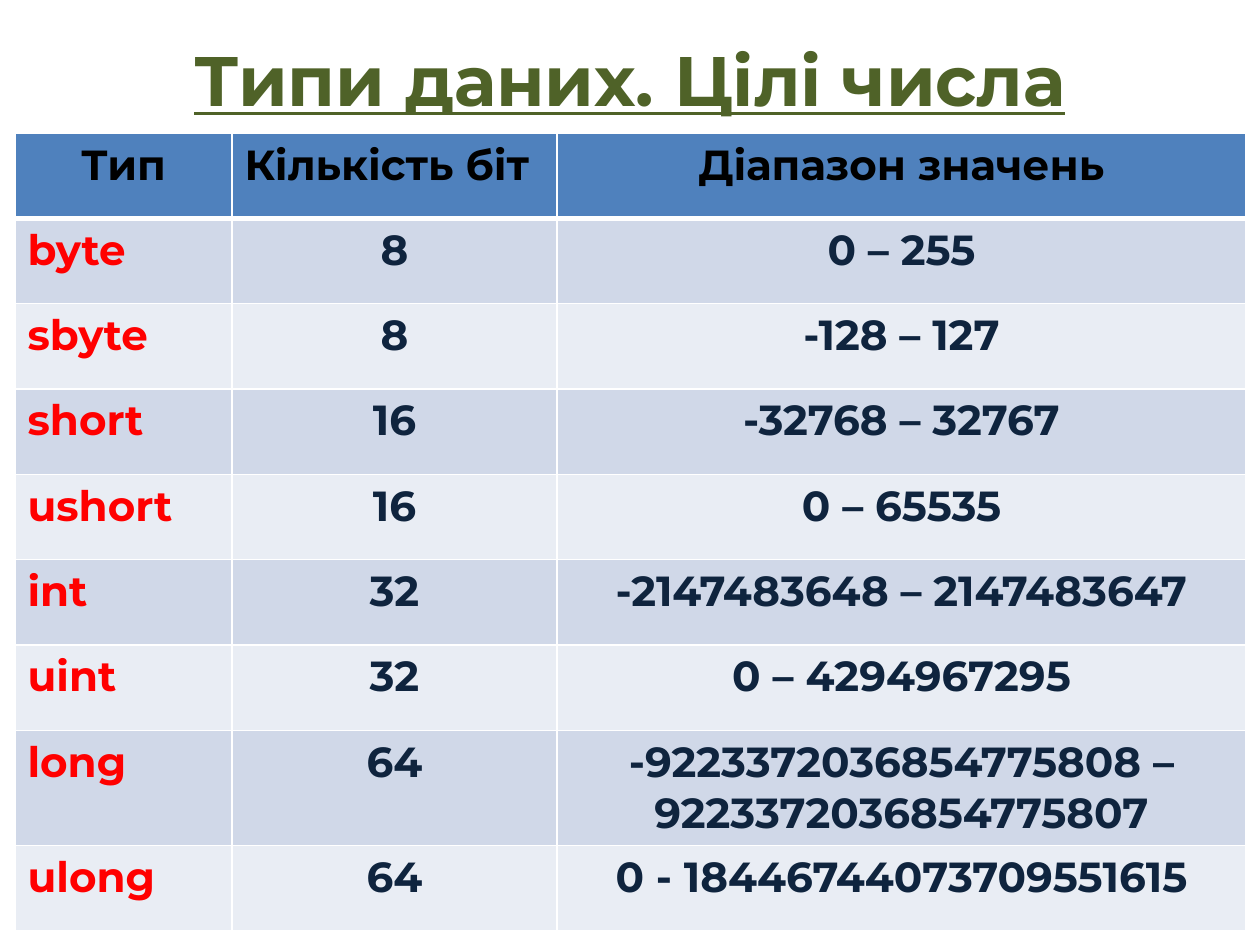
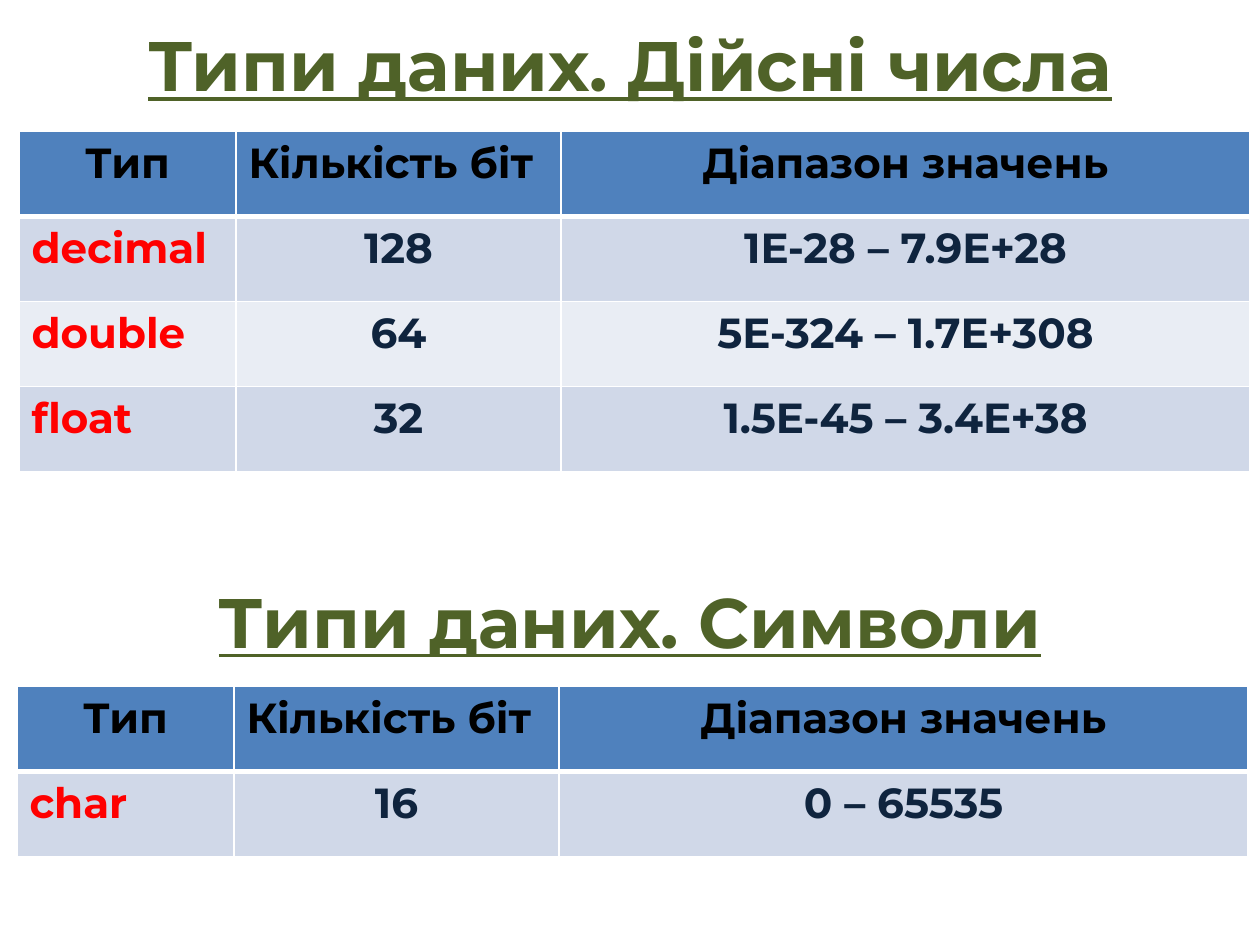
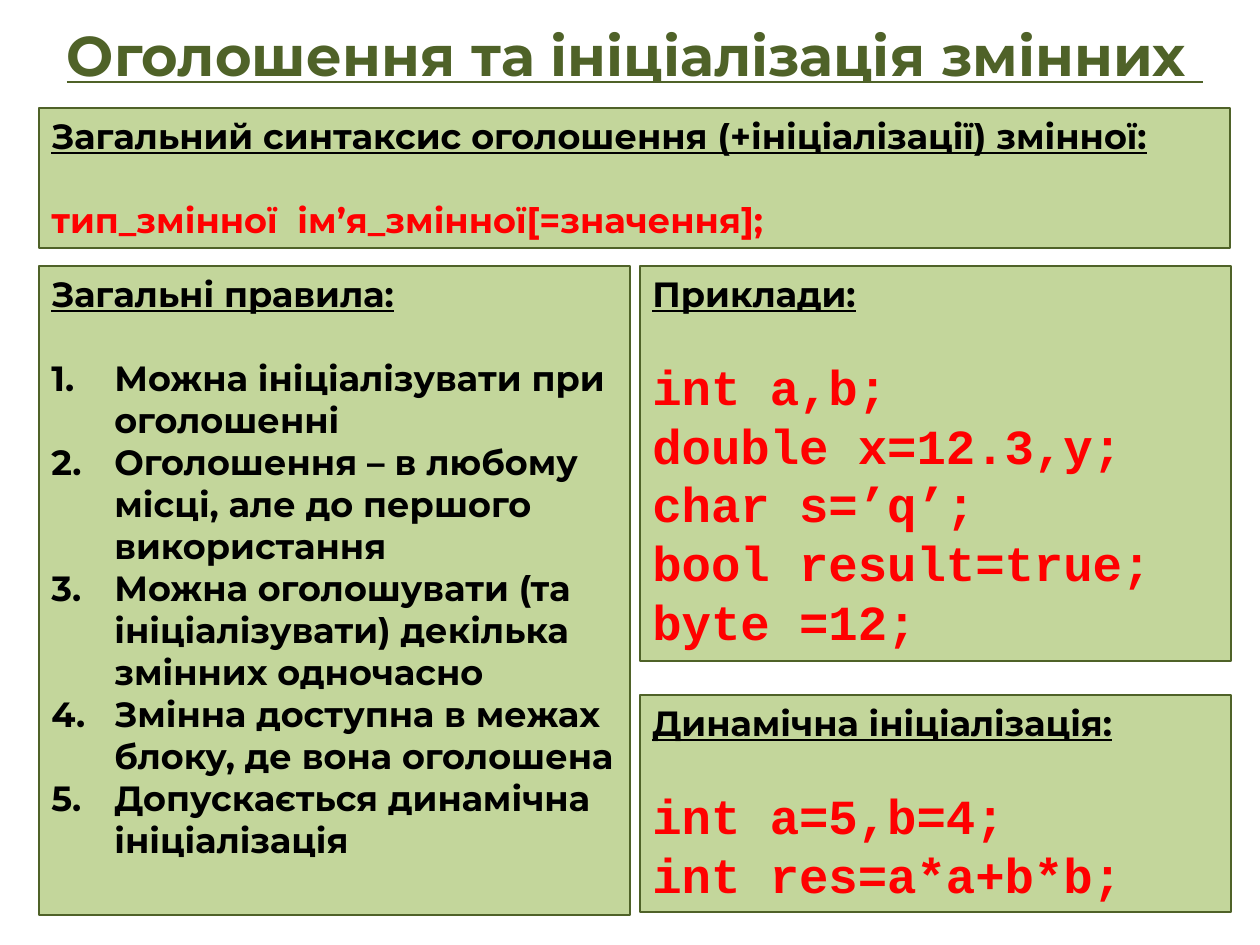
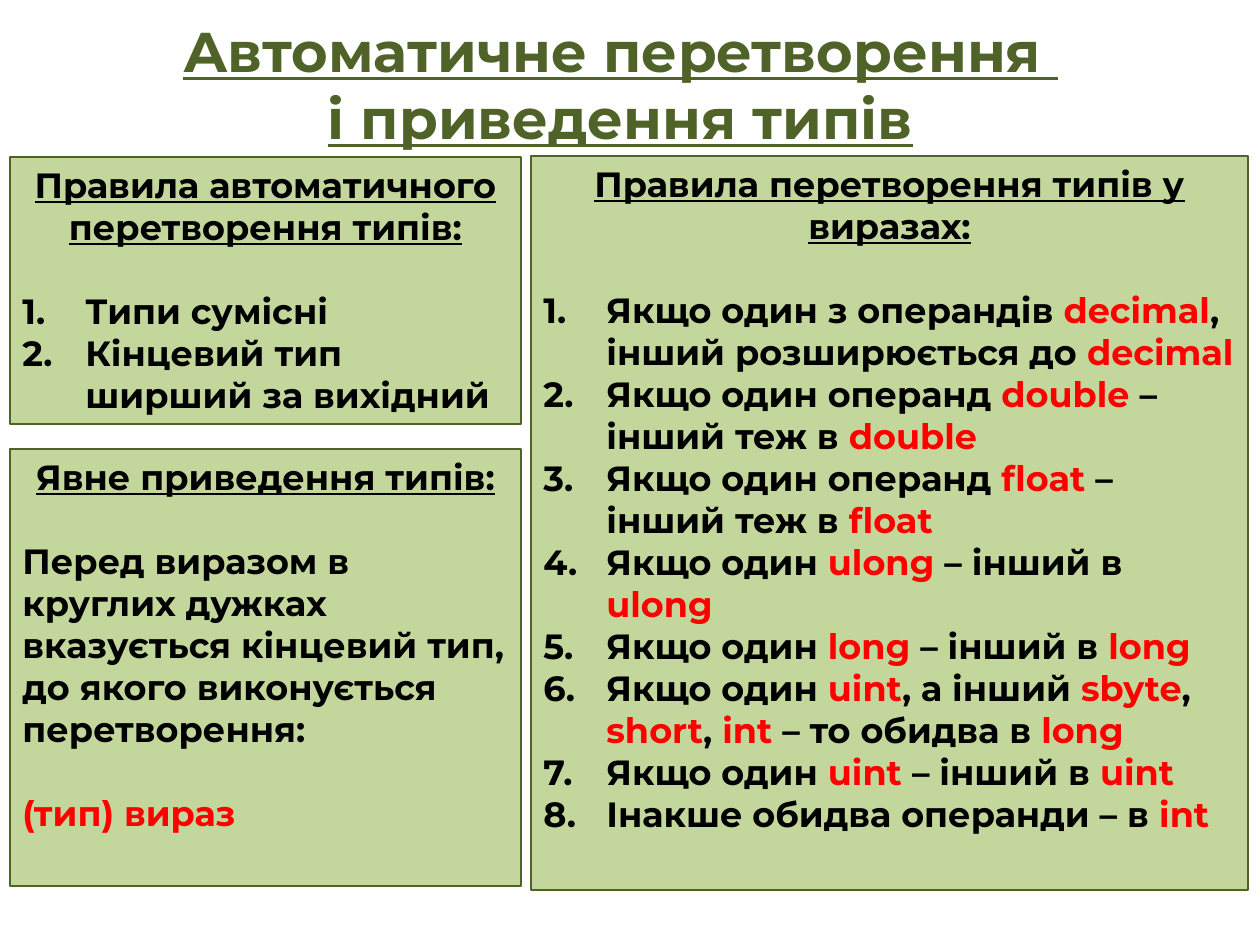
from dataclasses import dataclass

from lxml.etree import SubElement
from pptx import Presentation
from pptx.dml.color import RGBColor as RGB
from pptx.enum.shapes import MSO_SHAPE as Shape
from pptx.enum.text import MSO_ANCHOR as Anchor, MSO_AUTO_SIZE as Auto, PP_ALIGN as Align
from pptx.oxml.ns import qn
from pptx.util import Emu, Pt


@dataclass(frozen=True)
class Theme:
    font: str = "Montserrat"
    mono: str = "Courier New"
    title: int = 40
    long: int = 32      # long titles
    code: int = 28
    cell: int = 24
    text: int = 20
    gap: int = 24       # one empty line of body text
    olive: str = "4F6228"
    leaf: str = "C3D69B"
    blue: str = "4F81BD"
    bands: tuple = ("D0D8E8", "E9EDF4")
    white: str = "FFFFFF"
    black: str = "000000"
    red: str = "FF0000"
    navy: str = "0F243E"


T = Theme()
HEADS = ("Тип", "Кількість біт", "Діапазон значень")
COLS = (217, 325, 689)
INDENT = 63

WHOLE = (
    ("byte", "8", "0 – 255"),
    ("sbyte", "8", "-128 – 127"),
    ("short", "16", "-32768 – 32767"),
    ("ushort", "16", "0 – 65535"),
    ("int", "32", "-2147483648 – 2147483647"),
    ("uint", "32", "0 – 4294967295"),
    ("long", "64", "-9223372036854775808 – 9223372036854775807"),
    ("ulong", "64", "0 - 18446744073709551615"),
)
REAL = (
    ("decimal", "128", "1E-28 – 7.9E+28"),
    ("double", "64", "5E-324 – 1.7E+308"),
    ("float", "32", "1.5E-45 – 3.4E+38"),
)
CHARS = (("char", "16", "0 – 65535"),)

RULES = (
    "Можна ініціалізувати при оголошенні",
    "Оголошення – в любому місці, але до першого використання",
    "Можна оголошувати (та ініціалізувати) декілька змінних одночасно",
    "Змінна доступна в межах блоку, де вона оголошена",
    "Допускається динамічна ініціалізація",
)
SAMPLES = ("int a,b;", "double x=12.3,y;", "char s=’q’;",
           "bool result=true;", "byte =12;")
DYNAMIC = ("int a=5,b=4;", "int res=a*a+b*b;")
AUTO = ("Типи сумісні", "Кінцевий тип ширший за вихідний")
# Words between bars are red.
MIXED = (
    "Якщо один з операндів |decimal|, інший розширюється до |decimal|",
    "Якщо один операнд |double| – інший теж в |double|",
    "Якщо один операнд |float| – інший теж в |float|",
    "Якщо один |ulong| – інший в |ulong|",
    "Якщо один |long |– інший в |long|",
    "Якщо один |uint|, а інший |sbyte|, |short|, |int| – то обидва в |long|",
    "Якщо один |uint| – інший в |uint|",
    "Інакше обидва операнди – в |int|",
)


def px(n):
    return Emu(round(n * 914400 / 126))


def place(box):
    return [px(n) for n in box]


def style(font, size, color, name=T.font, line=False):
    font.name, font.size, font.bold = name, Pt(size), True
    font.underline = line
    font.color.rgb = RGB.from_string(color)


def paint(fill, color):
    fill.solid()
    fill.fore_color.rgb = RGB.from_string(color)


def caption(shape, text, size):
    """Fill a shape with a centred, underlined slide heading."""
    frame = shape.text_frame
    frame.word_wrap, frame.auto_size = True, Auto.NONE
    frame.vertical_anchor = Anchor.MIDDLE
    par = frame.paragraphs[0]
    par.text, par.alignment = text, Align.CENTER
    style(par.font, size, T.olive, line=True)


def page(deck, text, box, size):
    slide = deck.slides.add_slide(deck.slide_layouts.get_by_name("Title Only"))
    title = slide.shapes.title
    title.left, title.top, title.width, title.height = place(box)
    caption(title, text, size)
    return slide


def edge(cell, low):
    """Draw white cell borders; low is the width of the bottom one."""
    props = cell._tc.get_or_add_tcPr()
    for side, wide in (("L", 1), ("R", 1), ("T", 1), ("B", low)):
        line = SubElement(props, qn(f"a:ln{side}"), w=str(Pt(wide)))
        fill = SubElement(line, qn("a:solidFill"))
        SubElement(fill, qn("a:srgbClr"), val=T.white)


def grid(slide, left, top, high, data):
    """Add a table of types whose equal rows share the height."""
    rows = (HEADS, *data)
    box = place((left, top, sum(COLS), high))
    table = slide.shapes.add_table(len(rows), len(COLS), *box).table
    for col, wide in zip(table.columns, COLS):
        col.width = px(wide)
    for r, row in enumerate(rows):
        table.rows[r].height = px(high / len(rows))
        for c, text in enumerate(row):
            cell = table.cell(r, c)
            edge(cell, 1 if r else 3)
            paint(cell.fill, T.bands[(r - 1) % 2] if r else T.blue)
            par = cell.text_frame.paragraphs[0]
            par.text = text
            flush = c == 0 if r else c == 1
            par.alignment = Align.LEFT if flush else Align.CENTER
            color = (T.navy if c else T.red) if r else T.black
            style(par.font, T.cell, color)


def panel(slide, box, head, align=Align.LEFT):
    """Add a green box with an underlined heading; return its text frame."""
    shape = slide.shapes.add_shape(Shape.RECTANGLE, *place(box))
    shape.shadow.inherit = False
    paint(shape.fill, T.leaf)
    shape.line.color.rgb = RGB.from_string(T.olive)
    shape.line.width = Pt(0.75)
    frame = shape.text_frame
    frame.word_wrap, frame.vertical_anchor = True, Anchor.TOP
    par = frame.paragraphs[0]
    par.text, par.alignment, par.space_after = head, align, Pt(T.gap)
    style(par.font, T.text, T.black, line=True)
    return frame


def add(frame, text, color=T.black, size=T.text, name=T.font):
    par = frame.add_paragraph()
    par.alignment = Align.LEFT
    style(par.font, size, color, name)
    for i, part in enumerate(text.split("|")):
        if part:
            run = par.add_run()
            run.text = part
            if i % 2:
                run.font.color.rgb = RGB.from_string(T.red)
    return par


def steps(frame, items):
    for item in items:
        props = add(frame, item)._p.get_or_add_pPr()
        props.set("marL", str(px(INDENT)))
        props.set("indent", str(-px(INDENT)))
        mark = props.makeelement(qn("a:buAutoNum"), {"type": "arabicPeriod"})
        props.find(qn("a:defRPr")).addprevious(mark)


def code(frame, lines):
    for line in lines:
        add(frame, line, T.red, T.code, T.mono)


def main():
    deck = Presentation()
    deck.slide_width, deck.slide_height = px(1260), px(945)

    slide = page(deck, "Типи даних. Цілі числа", (0, 0, 1260, 157), T.title)
    grid(slide, 15, 133, 768, WHOLE)

    slide = page(deck, "Типи даних. Дійсні числа", (0, 0, 1260, 128), T.title)
    grid(slide, 19, 131, 341, REAL)
    label = slide.shapes.add_textbox(*place((0, 542, 1260, 157)))
    caption(label, "Типи даних. Символи", T.title)
    grid(slide, 17, 686, 171, CHARS)

    slide = page(deck, "Оголошення та ініціалізація змінних ",
                 (-39, 0, 1348, 108), T.long)
    frame = panel(slide, (39, 108, 1191, 140),
                  "Загальний синтаксис оголошення (+ініціалізації) змінної:")
    add(frame, "тип_змінної  ім’я_змінної[=значення];", T.red)
    steps(panel(slide, (39, 266, 591, 649), "Загальні правила:"), RULES)
    code(panel(slide, (640, 266, 591, 395), "Приклади:"), SAMPLES)
    code(panel(slide, (640, 695, 591, 217), "Динамічна ініціалізація:"), DYNAMIC)

    slide = page(deck, "Автоматичне перетворення \vі приведення типів",
                 (10, 0, 1221, 168), T.long)
    steps(panel(slide, (10, 157, 511, 267),
                "Правила автоматичного перетворення типів:", Align.CENTER), AUTO)
    frame = panel(slide, (10, 449, 511, 437), "Явне приведення типів:", Align.CENTER)
    add(frame, "Перед виразом в круглих дужках вказується кінцевий тип, "
               "до якого виконується перетворення:")
    add(frame, "(тип) вираз", T.red).space_before = Pt(T.gap)
    steps(panel(slide, (531, 156, 717, 734),
                "Правила перетворення типів у виразах:", Align.CENTER), MIXED)

    deck.save("out.pptx")


if __name__ == "__main__":
    main()
